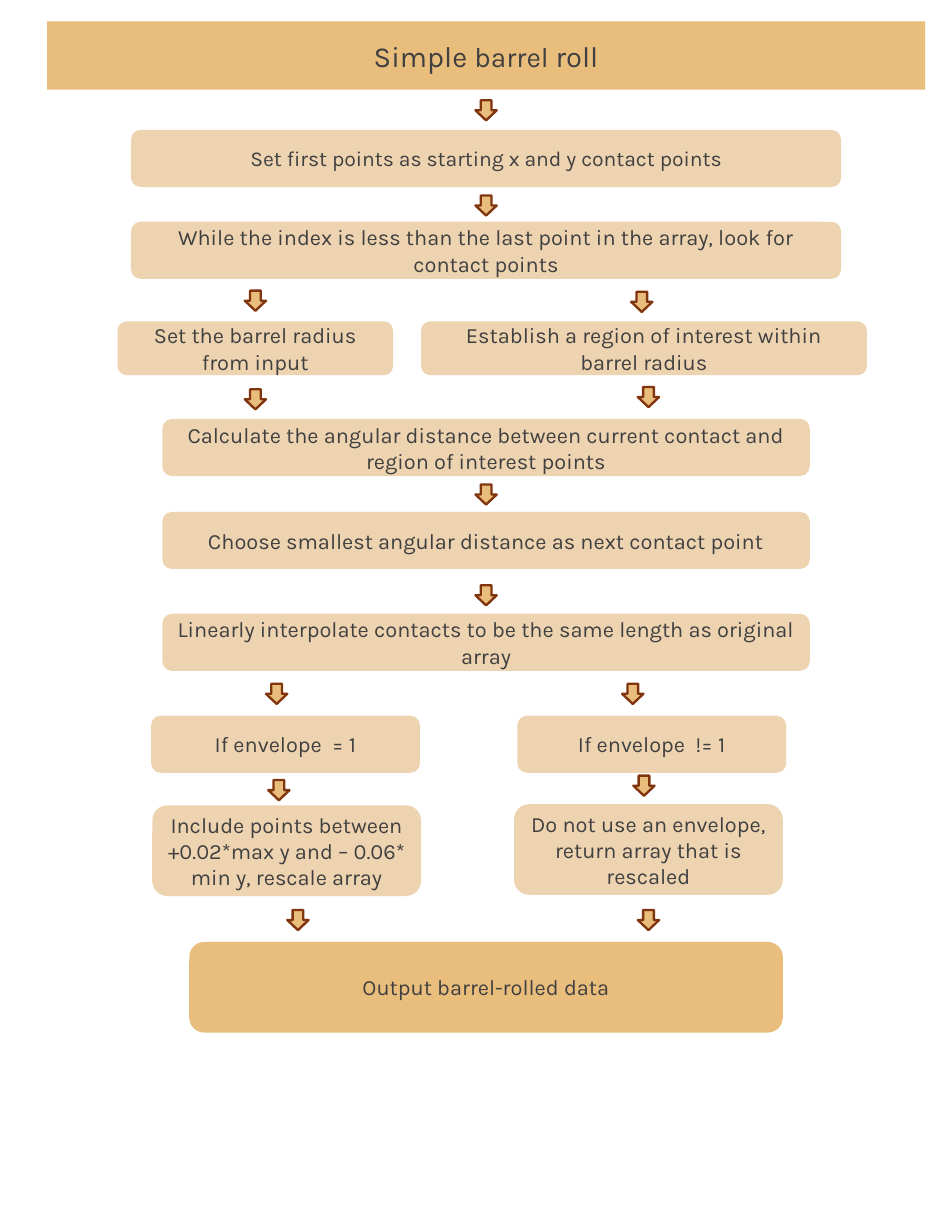
import lxml.etree
import pptx
import pptx.dml.color
import pptx.enum.shapes
import pptx.enum.text
import pptx.oxml.ns
import pptx.util

Inches = pptx.util.Inches
SHAPE = pptx.enum.shapes.MSO_SHAPE
STRONG, LIGHT, OUTLINE, INK = "E9BD7C", "EED3B1", "80350E", "404040"
CENTER = 4.34
ARROW_WIDTH, ARROW_HEIGHT = 0.18, 0.19

TITLE_BOX = (0.42, 0.19, 7.84, 0.61)
TITLE_RUNS = [("Simple ", 18.7), ("barrel", 18), (" roll", 18.7)]

MAIN_STEPS = [
    (1.16, 6.34, 0.51, LIGHT, 13.6, "Set first points as starting x and y contact points"),
    (1.98, 6.34, 0.51, LIGHT, 14,
     "While the index is less than the last point in the array, look for contact points"),
    (3.74, 5.78, 0.51, LIGHT, 14,
     "Calculate the angular distance between current contact and region of interest points"),
    (4.57, 5.78, 0.51, LIGHT, 14, "Choose smallest angular distance as next contact point"),
    (5.48, 5.78, 0.51, LIGHT, 14,
     "Linearly interpolate contacts to be the same length as original array"),
    (8.41, 5.3, 0.81, STRONG, 14, "Output barrel-rolled data"),
]
BRANCH_STEPS = [
    ((1.05, 2.87, 2.46, 0.48), "Set the barrel radius from input"),
    ((3.76, 2.87, 3.98, 0.48), "Establish a region of interest within barrel radius"),
    ((1.35, 6.39, 2.4, 0.51), "If envelope  = 1"),
    ((4.62, 6.39, 2.4, 0.51), "If envelope  != 1"),
    ((1.36, 7.19, 2.4, 0.81),
     "Include points between +0.02*max y and – 0.06* min y, rescale array"),
    ((4.59, 7.18, 2.4, 0.81), "Do not use an envelope, return array that is rescaled"),
]
MAIN_ARROW_TOPS = [0.89, 1.74, 4.32, 5.22]
BRANCH_ARROWS = [
    (2.19, 2.59), (5.64, 2.6), (2.19, 3.47), (5.7, 3.45), (2.38, 6.1), (5.56, 6.1),
    (2.4, 6.96), (5.66, 6.92), (2.57, 8.12), (5.7, 8.12),
]


def color(value):
    return pptx.dml.color.RGBColor.from_string(value)


def apply_format(target, values):
    for name, value in values.items():
        setattr(target, name, value)


def set_fill(shape, value):
    shape.fill.solid()
    shape.fill.fore_color.rgb = color(value)


def write_text(shape, runs):
    apply_format(shape.text_frame, {
        "word_wrap": True,
        "auto_size": pptx.enum.text.MSO_AUTO_SIZE.NONE,
        "vertical_anchor": pptx.enum.text.MSO_ANCHOR.MIDDLE,
    })
    paragraph = shape.text_frame.paragraphs[0]
    paragraph.alignment = pptx.enum.text.PP_ALIGN.CENTER
    for text, size in runs:
        run = paragraph.add_run()
        run.text = text
        apply_format(run.font, {"name": "Karla", "size": pptx.util.Pt(size)})
        run.font.color.rgb = color(INK)


def draw_title(slide, box):
    title = slide.shapes.title
    lengths = map(Inches, box)
    apply_format(title, dict(zip(("left", "top", "width", "height"), lengths)))
    geometry = lxml.etree.SubElement(
        title.element.spPr, pptx.oxml.ns.qn("a:prstGeom"), prst="roundRect")
    lxml.etree.SubElement(geometry, pptx.oxml.ns.qn("a:avLst"))
    set_fill(title, STRONG)
    write_text(title, TITLE_RUNS)


def draw_step(slide, box, text, fill=LIGHT, size=14):
    step = slide.shapes.add_shape(SHAPE.ROUNDED_RECTANGLE, *map(Inches, box))
    step.shadow.inherit = False
    set_fill(step, fill)
    step.line.fill.background()
    write_text(step, [(text, size)])


def draw_arrow(slide, left, top):
    box = (left, top, ARROW_WIDTH, ARROW_HEIGHT)
    arrow = slide.shapes.add_shape(SHAPE.RIGHT_ARROW, *map(Inches, box))
    arrow.rotation = 90
    arrow.shadow.inherit = False
    set_fill(arrow, STRONG)
    arrow.line.color.rgb = color(OUTLINE)
    arrow.line.width = pptx.util.Pt(1.5)


def main():
    presentation = pptx.Presentation()
    apply_format(presentation, {"slide_width": Inches(8.5), "slide_height": Inches(11)})
    slide = presentation.slides.add_slide(presentation.slide_layouts.get_by_name("Title Only"))
    draw_title(slide, TITLE_BOX)
    for top, width, height, fill, size, text in MAIN_STEPS:
        draw_step(slide, (CENTER - width / 2, top, width, height), text, fill, size)
    for box, text in BRANCH_STEPS:
        draw_step(slide, box, text)
    for top in MAIN_ARROW_TOPS:
        draw_arrow(slide, CENTER - ARROW_WIDTH / 2, top)
    for left, top in BRANCH_ARROWS:
        draw_arrow(slide, left, top)
    presentation.save("out.pptx")


if __name__ == "__main__":
    main()
